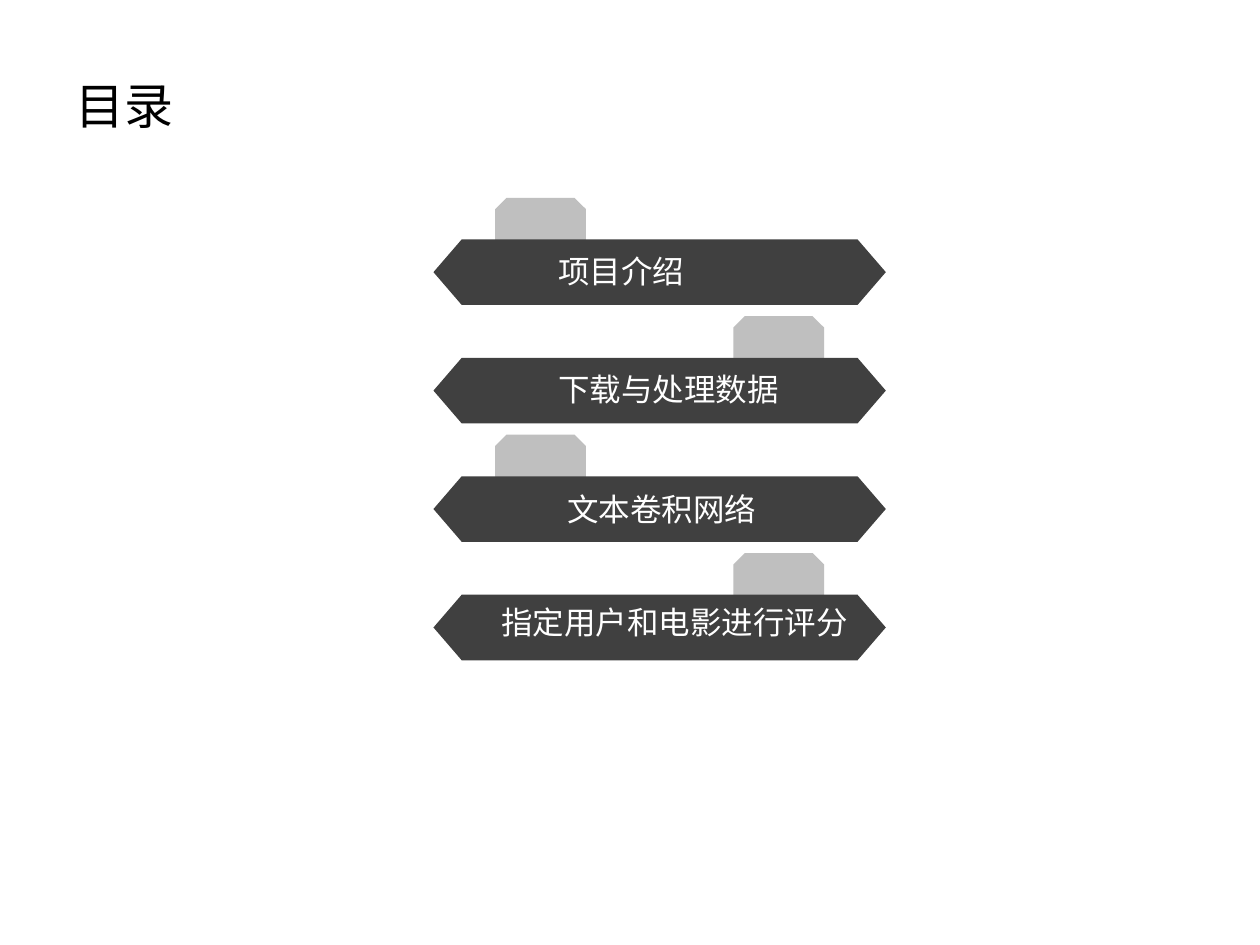
from dataclasses import dataclass
from lxml import etree
from pptx import Presentation
from pptx.dml.color import RGBColor
from pptx.enum.text import MSO_ANCHOR
from pptx.oxml.ns import qn
from pptx.util import Inches, Pt

TOP = MSO_ANCHOR.TOP
CELL = Inches(0.1)
COLS, ROWS = 100, 75


@dataclass(frozen=True)
class Theme:
    font: str = "Noto Sans CJK SC"
    ink: str = "000000"
    band: str = "404040"
    tab: str = "BFBFBF"
    label: str = "FFFFFF"
    title_size: int = 28
    label_size: int = 18


@dataclass(frozen=True)
class Box:
    left: float
    top: float
    width: float
    height: float

    def emu(self):
        return [round(n * CELL) for n in (self.left, self.top, self.width, self.height)]


THEME = Theme()
TITLE = Box(5.5, 5.5, 10.9, 6.6)
LIST = Box(34.4, 15.7, 35.9, 37.6)
TOPICS = [
    ("项目介绍", 4.9, Box(9.4, 3.8, 11.1, 4.5), False),
    ("下载与处理数据", 23.8, Box(9.4, 3.8, 18.6, 4.5), False),
    ("文本卷积网络", 4.9, Box(10.1, 3.9, 17.2, 7.5), True),
    ("指定用户和电影进行评分", 23.8, Box(4.9, 3.5, 29.3, 7.5), False),
]


def draw_text(slide, box, text, size, color, wrap=False):
    frame = slide.shapes.add_textbox(*box.emu()).text_frame
    frame.word_wrap = wrap
    frame.vertical_anchor = TOP
    frame.margin_left = frame.margin_right = Inches(0.05)
    frame.margin_top = frame.margin_bottom = Inches(0.05)
    frame.text = text
    for run in frame.paragraphs[0].runs:
        font = run.font
        font.name = THEME.font
        font.size = Pt(size)
        font.color.rgb = RGBColor.from_string(color)
        east = etree.SubElement(run._r.get_or_add_rPr(), qn("a:ea"))
        east.set("typeface", THEME.font)


def draw_shape(slide, box, points, color):
    spots = [
        (round((box.left + x) * CELL), round((box.top + y) * CELL))
        for x, y in points
    ]
    pen = slide.shapes.build_freeform(*spots[0], scale=1.0)
    pen.add_line_segments(spots[1:], close=True)
    shape = pen.convert_to_shape()
    shape.shadow.inherit = False
    shape.fill.solid()
    shape.fill.fore_color.rgb = RGBColor.from_string(color)
    shape.line.fill.background()


def draw_tab(slide, box):
    cut, wide, high = 0.9, box.width, box.height
    points = [(cut, 0), (wide - cut, 0), (wide, cut), (wide, high), (0, high), (0, cut)]
    draw_shape(slide, box, points, THEME.tab)


def draw_band(slide, box):
    cut, wide, high = box.width / 16, box.width, box.height
    points = [(cut, 0), (wide - cut, 0), (wide, high / 2),
              (wide - cut, high), (cut, high), (0, high / 2)]
    draw_shape(slide, box, points, THEME.band)


def draw_topic(slide, box, text, shift, place, wrap):
    draw_tab(slide, Box(box.left + shift, box.top, 7.2, 3.5))
    draw_band(slide, Box(box.left, box.top + 3.3, box.width, 5.2))
    label = Box(box.left + place.left, box.top + place.top, place.width, place.height)
    draw_text(slide, label, text, THEME.label_size, THEME.label, wrap)


def draw_list(slide, box):
    pitch = box.height / len(TOPICS)
    for row, topic in enumerate(TOPICS):
        draw_topic(slide, Box(box.left, box.top + row * pitch, box.width, pitch), *topic)


def main():
    deck = Presentation()
    deck.slide_width = COLS * CELL
    deck.slide_height = ROWS * CELL
    slide = deck.slides.add_slide(deck.slide_layouts[6])
    draw_text(slide, TITLE, "目录", THEME.title_size, THEME.ink, True)
    draw_list(slide, LIST)
    deck.save("out.pptx")


if __name__ == "__main__":
    main()
